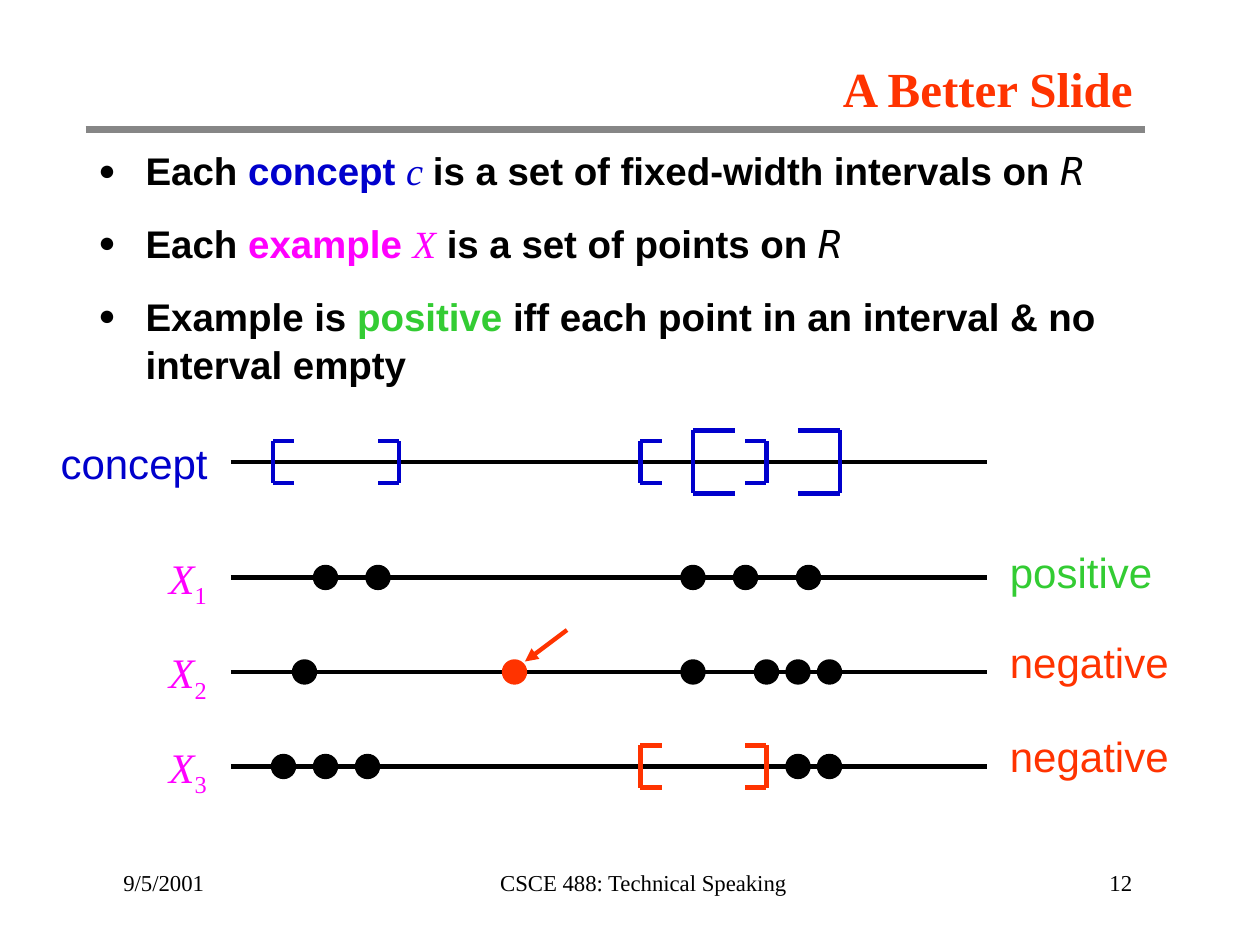
from dataclasses import dataclass
from typing import NamedTuple

import lxml.etree
import pptx
import pptx.dml.color
import pptx.enum.dml
import pptx.enum.shapes
import pptx.enum.text
import pptx.oxml.ns
import pptx.util

Pt = pptx.util.Pt
Align = pptx.enum.text.PP_ALIGN
Anchor = pptx.enum.text.MSO_ANCHOR
AutoSize = pptx.enum.text.MSO_AUTO_SIZE


@dataclass(frozen=True)
class Theme:
    black: str = "000000"
    rule: str = "868686"
    concept: str = "0000CC"
    example: str = "FF00FF"
    positive: str = "33CC33"
    negative: str = "FF3300"
    sans: str = "Arial"
    serif: str = "Times New Roman"
    mono: str = "DejaVu Sans Mono"
    title_size: float = 28
    body_size: float = 22
    label_size: float = 24
    footer_size: float = 13
    stroke: float = 2.5
    rule_stroke: float = 4


THEME = Theme()
AXIS_LEFT, AXIS_RIGHT = 132, 564
DOT = 12


class Piece(NamedTuple):
    """A stretch of bullet text; symbols are italic, words are bold."""
    text: str
    color: str = THEME.black
    face: str = THEME.sans
    symbol: bool = False


class Interval(NamedTuple):
    left: float
    right: float
    color: str = THEME.concept
    half_height: float = 12
    lip: float = 12


class Box(NamedTuple):
    left: float
    top: float
    width: float
    height: float


class Example(NamedTuple):
    index: str
    y: float
    points: tuple[float, ...]
    verdict: str
    verdict_top: float
    verdict_width: float
    color: str
    stray: tuple[float, ...] = ()


REAL_LINE = Piece("R", face=THEME.mono, symbol=True)
BULLETS = [
    [Piece("Each "), Piece("concept ", THEME.concept),
     Piece("c ", THEME.concept, THEME.serif, True),
     Piece("is a set of fixed-width intervals on "), REAL_LINE],
    [Piece("Each "), Piece("example ", THEME.example),
     Piece("X", THEME.example, THEME.serif, True),
     Piece(" is a set of points on "), REAL_LINE],
    [Piece("Example is "), Piece("positive ", THEME.positive),
     Piece("iff each point in an interval & no interval empty")],
]
CONCEPT_Y = 264
CONCEPT = [Interval(156, 228), Interval(366, 438),
           Interval(396, 480, half_height=18, lip=24)]
EXAMPLES = [
    Example("1", 330, (186, 216, 396, 426, 462),
            "positive", 309, 98, THEME.positive),
    Example("2", 384, (174, 396, 438, 456, 474),
            "negative", 360, 107, THEME.negative, stray=(294,)),
    Example("3", 438, (162, 186, 210, 456, 474),
            "negative", 414, 107, THEME.negative),
]
EMPTY_INTERVAL = Interval(366, 438, THEME.negative)
FOOTERS = [
    ("9/5/2001", Box(46.4, 486, 126, 36), Align.LEFT),
    ("CSCE 488: Technical Speaking", Box(202, 486, 314, 36), Align.CENTER),
    ("12", Box(528, 486, 126, 36), Align.RIGHT),
]


def rgb(color: str) -> pptx.dml.color.RGBColor:
    return pptx.dml.color.RGBColor.from_string(color)


def style(font, face: str, color: str, size: float | None = None) -> None:
    font.name = face
    font.color.rgb = rgb(color)
    if size:
        font.size = Pt(size)


def place(shape, box: Box) -> None:
    shape.left, shape.top, shape.width, shape.height = map(Pt, box)


def add_line(slide, x1: float, y1: float, x2: float, y2: float, color: str,
             width: float = THEME.stroke, arrow: bool = False) -> None:
    line = slide.shapes.add_connector(
        pptx.enum.shapes.MSO_CONNECTOR.STRAIGHT, Pt(x1), Pt(y1), Pt(x2), Pt(y2))
    line.line.color.rgb = rgb(color)
    line.line.width = Pt(width)
    qn = pptx.oxml.ns.qn
    if arrow:
        lxml.etree.SubElement(line.line._get_or_add_ln(), qn("a:tailEnd"), type="triangle")
    lxml.etree.SubElement(line._element.spPr, qn("a:effectLst"))


def add_axis(slide, y: float) -> None:
    add_line(slide, AXIS_LEFT, y, AXIS_RIGHT, y, THEME.black)


def add_interval(slide, interval: Interval, y: float) -> None:
    top, bottom = y - interval.half_height, y + interval.half_height
    for x, lip in ((interval.left, interval.lip), (interval.right, -interval.lip)):
        add_line(slide, x + lip, top, x, top, interval.color)
        add_line(slide, x, top, x, bottom, interval.color)
        add_line(slide, x + lip, bottom, x, bottom, interval.color)


def add_point(slide, x: float, y: float, color: str) -> None:
    point = slide.shapes.add_shape(
        pptx.enum.shapes.MSO_SHAPE.OVAL, Pt(x - DOT / 2), Pt(y - DOT / 2), Pt(DOT), Pt(DOT))
    point.shadow.inherit = False
    point.fill.solid()
    point.fill.fore_color.rgb = rgb(color)
    point.line.color.rgb = rgb(color)
    point.line.width = Pt(THEME.stroke)


def add_label(slide, text: str, box: Box, face: str, color: str):
    frame = slide.shapes.add_textbox(*map(Pt, box)).text_frame
    frame.word_wrap = False
    frame.auto_size = AutoSize.SHAPE_TO_FIT_TEXT
    label = frame.paragraphs[0]
    label.add_run().text = text
    style(label.font, face, color, THEME.label_size)
    return label


def add_footer(slide, text: str, box: Box, align: Align) -> None:
    frame = slide.shapes.add_textbox(*map(Pt, box)).text_frame
    frame.word_wrap = True
    frame.vertical_anchor = Anchor.MIDDLE
    footer = frame.paragraphs[0]
    footer.text = text
    footer.alignment = align
    footer._p.get_or_add_pPr().set("marL", str(Pt(17)))
    style(footer.font, THEME.serif, THEME.black, THEME.footer_size)


def fill_bullet(paragraph, pieces: list[Piece]) -> None:
    paragraph.line_spacing = 1.05
    paragraph.space_before = paragraph.space_after = Pt(6.9)
    qn = pptx.oxml.ns.qn
    props = paragraph._p.get_or_add_pPr()
    props.set("marL", str(Pt(27)))
    props.set("indent", str(-Pt(27)))
    bullet_color = lxml.etree.SubElement(props, qn("a:buClr"))
    lxml.etree.SubElement(bullet_color, qn("a:srgbClr"), val=THEME.black)
    lxml.etree.SubElement(props, qn("a:buSzPct"), val="75000")
    lxml.etree.SubElement(props, qn("a:buFont"), typeface=THEME.serif)
    lxml.etree.SubElement(props, qn("a:buChar"), char="●")
    paragraph.font.size = Pt(THEME.body_size)
    for piece in pieces:
        run = paragraph.add_run()
        run.text = piece.text
        style(run.font, piece.face, piece.color)
        run.font.bold = not piece.symbol
        run.font.italic = piece.symbol


def main() -> None:
    deck = pptx.Presentation()
    deck.slide_width, deck.slide_height = Pt(720), Pt(540)
    slide = deck.slides.add_slide(deck.slide_layouts[1])

    # Title and rule
    add_line(slide, 49, 74.2, 654.5, 74.2, THEME.rule, THEME.rule_stroke)
    title = slide.shapes.title
    place(title, Box(120, 16, 534.5, 54.5))
    title.text_frame.vertical_anchor = Anchor.BOTTOM
    title.text_frame.auto_size = AutoSize.NONE
    heading = title.text_frame.paragraphs[0]
    heading.text = "A Better Slide"
    heading.alignment = Align.RIGHT
    style(heading.font, THEME.serif, THEME.negative, THEME.title_size)
    heading.font.bold = True

    # Definitions
    body = slide.placeholders[1]
    place(body, Box(49, 79.3, 628.5, 386.5))
    definitions = body.text_frame
    definitions.auto_size = AutoSize.NONE
    for i, pieces in enumerate(BULLETS):
        fill_bullet(definitions.add_paragraph() if i else definitions.paragraphs[0], pieces)

    # Concept row
    add_axis(slide, CONCEPT_Y)
    add_label(slide, "concept", Box(27.5, 246.4, 101, 36), THEME.sans, THEME.concept)
    for interval in CONCEPT:
        add_interval(slide, interval, CONCEPT_Y)

    # Example rows
    for example in EXAMPLES:
        add_axis(slide, example.y)
        name = add_label(slide, "X", Box(89.5, example.y - 18, 36, 40),
                         THEME.serif, THEME.example)
        name.runs[0].font.italic = True
        subscript = name.add_run()
        subscript.text = example.index
        subscript.font._element.set("baseline", "-25000")
        add_label(slide, example.verdict,
                  Box(570, example.verdict_top, example.verdict_width, 36),
                  THEME.sans, example.color)
        for x in example.points:
            add_point(slide, x, example.y, THEME.black)
        for x in example.stray:
            add_point(slide, x, example.y, THEME.negative)
            add_line(slide, x + 30, example.y - 24, x + 6, example.y - 6,
                     THEME.negative, arrow=True)
    add_interval(slide, EMPTY_INTERVAL, EXAMPLES[-1].y)

    # Footer
    for text, box, align in FOOTERS:
        add_footer(slide, text, box, align)

    deck.save("out.pptx")


if __name__ == "__main__":
    main()
